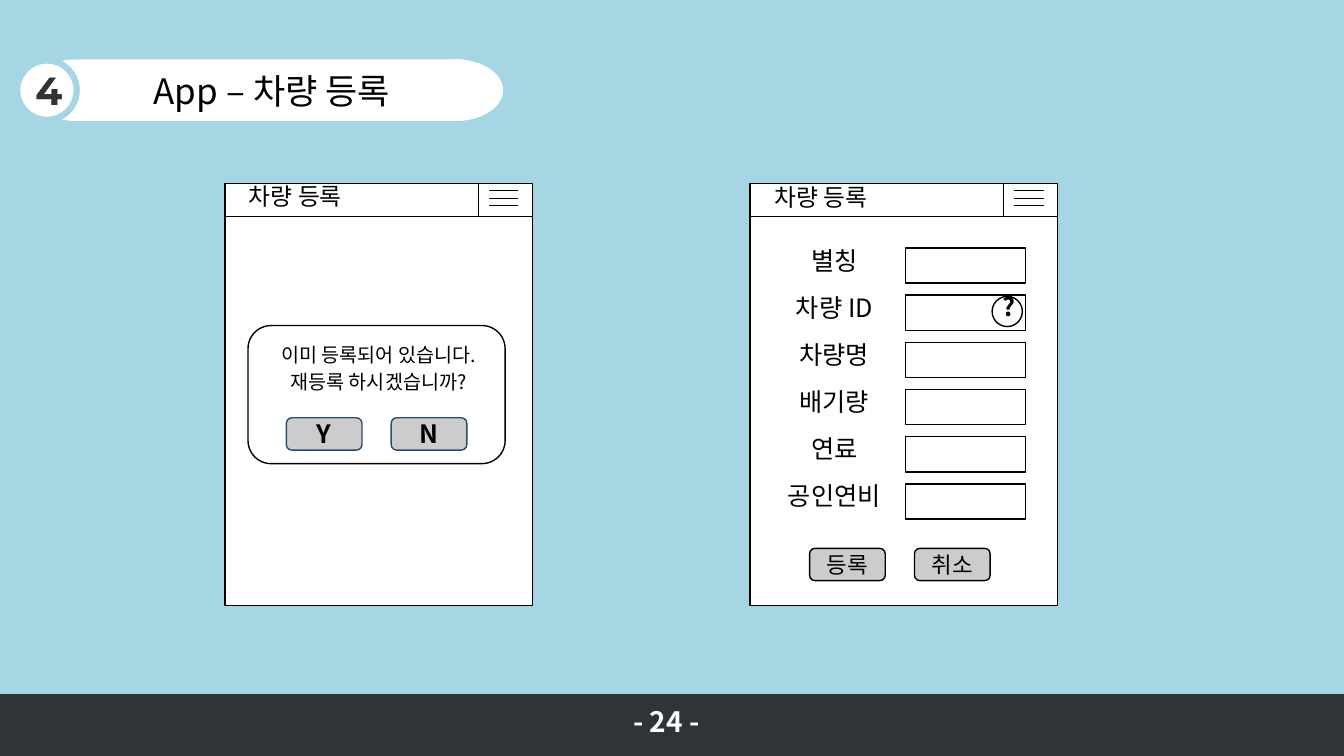
from lxml import etree
from pptx import Presentation
from pptx.dml.color import RGBColor
from pptx.enum.shapes import MSO_CONNECTOR, MSO_SHAPE
from pptx.enum.text import MSO_ANCHOR, MSO_AUTO_SIZE, PP_ALIGN
from pptx.oxml.ns import qn
from pptx.util import Inches, Pt

RECT, OVAL, ROUND = MSO_SHAPE.RECTANGLE, MSO_SHAPE.OVAL, MSO_SHAPE.ROUNDED_RECTANGLE
LINE = MSO_CONNECTOR.STRAIGHT
LEFT, CENTER = PP_ALIGN.LEFT, PP_ALIGN.CENTER
TOP, MIDDLE = MSO_ANCHOR.TOP, MSO_ANCHOR.MIDDLE
NO_FIT = MSO_AUTO_SIZE.NONE
TITLE_ONLY = 5

COLS, ROWS = 133.3, 75
CELL = Inches(7.5) / ROWS
KOREAN, NUMERAL = "Noto Sans CJK KR", "Montserrat"
SKY, DARK, WHITE, BLACK = "A6D5E3", "2F3436", "FFFFFF", "000000"
GREY, NAVY = "CCCCCC", "2D4D6A"

FIELDS = ["별칭", "차량 ID", "차량명", "배기량", "연료", "공인연비"]
FIELD_TOP, FIELD_STEP = 24.3, 4.68


def grid(*cells):
    """Turn columns and rows of the slide grid into slide lengths."""
    return [round(c * CELL) for c in cells]


def rgb(value):
    return RGBColor.from_string(value)


def set_text(sp, text, size=18, color=BLACK, font=KOREAN, bold=False,
             align=CENTER, anchor=MIDDLE, inset=0, spacing=None):
    tf = sp.text_frame
    tf.word_wrap = True
    tf.auto_size = NO_FIT
    tf.vertical_anchor = anchor
    tf.margin_left, = grid(inset)
    tf.margin_right = tf.margin_top = tf.margin_bottom = 0
    p = tf.paragraphs[0]
    p.alignment = align
    r = p.add_run()
    r.text = text
    r.font.size = Pt(size)
    r.font.bold = bold
    r.font.color.rgb = rgb(color)
    r.font.name = font
    props = r.font._element
    etree.SubElement(props, qn("a:ea")).set("typeface", font)
    if spacing:
        props.set("spc", str(spacing))


def add_text(slide, text, x, y, w, h, **fmt):
    sp = slide.shapes.add_textbox(*grid(x, y, w, h))
    set_text(sp, text, anchor=TOP, **fmt)


def add_box(slide, kind, x, y, w, h, fill=None, line=BLACK, width=1):
    sp = slide.shapes.add_shape(kind, *grid(x, y, w, h))
    sp.shadow.inherit = False
    if fill:
        sp.fill.solid()
        sp.fill.fore_color.rgb = rgb(fill)
    else:
        sp.fill.background()
    if line:
        sp.line.color.rgb = rgb(line)
        sp.line.width = Pt(width)
    else:
        sp.line.fill.background()
    return sp


def add_rule(slide, x1, y1, x2, y2):
    c = slide.shapes.add_connector(LINE, *grid(x1, y1, x2, y2))
    c.line.color.rgb = rgb(BLACK)
    c.line.width = Pt(0.5)
    etree.SubElement(c._element.spPr, qn("a:effectLst"))


def add_button(slide, text, x, y, line, **fmt):
    sp = add_box(slide, ROUND, x, y, 7.5, 3.2, GREY, line)
    set_text(sp, text, **fmt)


def add_screen(slide, x, title_y):
    """Draw an app screen with its header and menu icon."""
    add_box(slide, RECT, x, 18.2, 30.5, 41.9, WHITE)
    add_rule(slide, x, 21.5, x + 30.5, 21.5)
    add_rule(slide, x + 25.1, 18.2, x + 25.1, 21.5)
    for i in range(3):
        y = 18.9 + i * 0.75
        add_rule(slide, x + 26.2, y, x + 29.1, y)
    add_text(slide, "차량 등록", x - 0.45, title_y, 14.9, 3.8, size=17)


def add_dialog(slide):
    add_box(slide, ROUND, 24.6, 32.3, 25.5, 13.7)
    for i, text in enumerate(["이미 등록되어 있습니다.", "재등록 하시겠습니까?"]):
        add_text(slide, text, 25.7, 34 + i * 2.7, 23.7, 3.2, size=14)
    for i, text in enumerate("YN"):
        add_button(slide, text, 28.4 + i * 10.4, 41.45, NAVY, bold=True)


def add_form(slide):
    for i, text in enumerate(FIELDS):
        y = FIELD_TOP + i * FIELD_STEP
        add_text(slide, text, 75.3, y, 14.9, 4)
        add_box(slide, RECT, 89.8, y + 0.3, 11.9, 3.5)
    add_box(slide, OVAL, 98.4, 29.4, 3, 3)
    add_text(slide, "?", 98.4, 28.9, 2.7, 4, bold=True, align=LEFT, inset=1)
    for i, text in enumerate(["등록", "취소"]):
        add_button(slide, text, 80.3 + i * 10.4, 54.4, BLACK, size=16)


def add_heading(slide, number, text):
    """Build the white pill from the title placeholder and two round ends."""
    sp = slide.shapes.title
    sp.left, sp.top, sp.width, sp.height = grid(8, 5.9, 37.9, 6.1)
    sp.fill.solid()
    sp.fill.fore_color.rgb = rgb(WHITE)
    set_text(sp, text, size=25, spacing=10)
    for x in (2.9, 40.6):
        add_box(slide, OVAL, x, 5.9, 9.3, 6.1, WHITE, None)
    badge = add_box(slide, OVAL, 1.7, 6, 5.9, 5.9, WHITE, SKY, 4.5)
    set_text(badge, number, size=28, color=DARK, font=NUMERAL, bold=True, inset=0.4)


def add_footer(slide, text):
    add_box(slide, RECT, 0, 68.9, COLS, 6.1, DARK, DARK)
    add_text(slide, text, 61.8, 69.9, 9.8, 4.4, size=20, color=WHITE,
             bold=True, align=LEFT, inset=1)


def main():
    prs = Presentation()
    prs.slide_width, prs.slide_height = grid(COLS, ROWS)
    slide = prs.slides.add_slide(prs.slide_layouts[TITLE_ONLY])
    slide.background.fill.solid()
    slide.background.fill.fore_color.rgb = rgb(SKY)
    add_heading(slide, "4", "App – 차량 등록")
    add_screen(slide, 22.3, 18)
    add_dialog(slide)
    add_screen(slide, 74.4, 18.1)
    add_form(slide)
    add_footer(slide, "- 24 -")
    prs.save("out.pptx")


if __name__ == "__main__":
    main()
